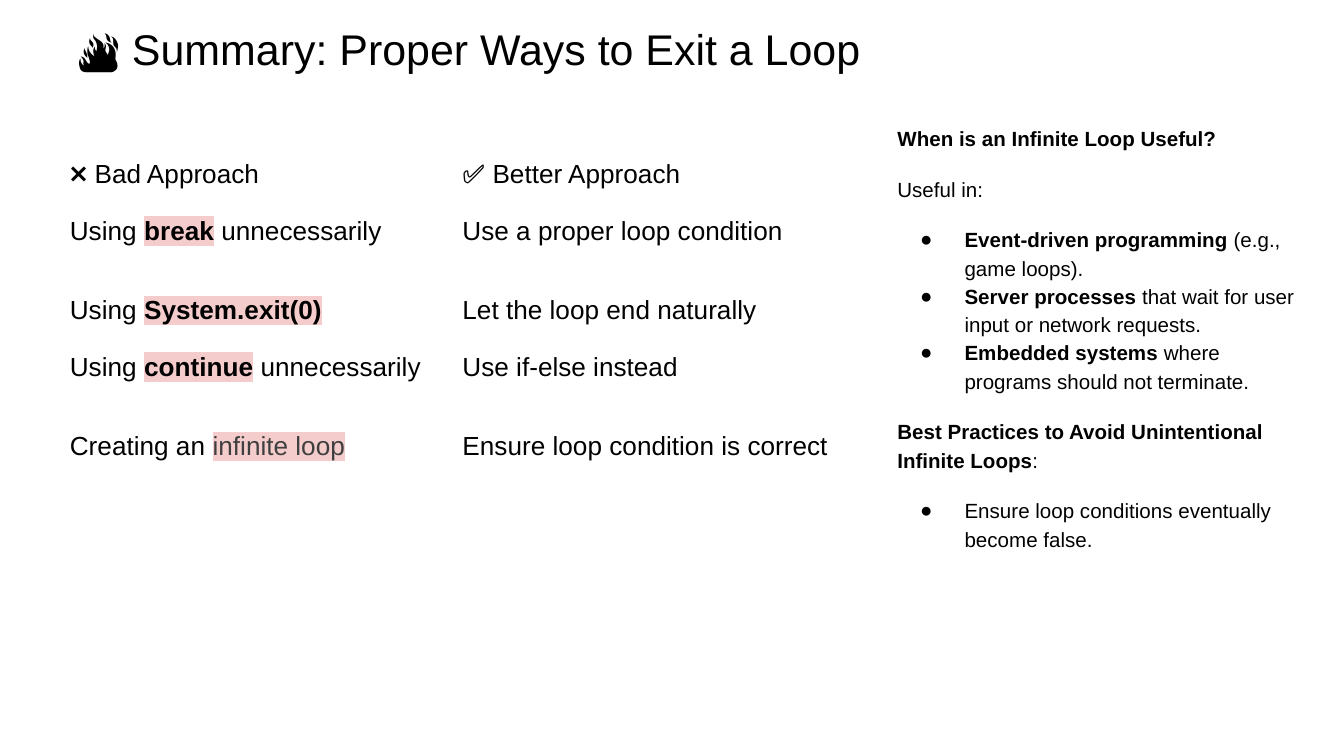
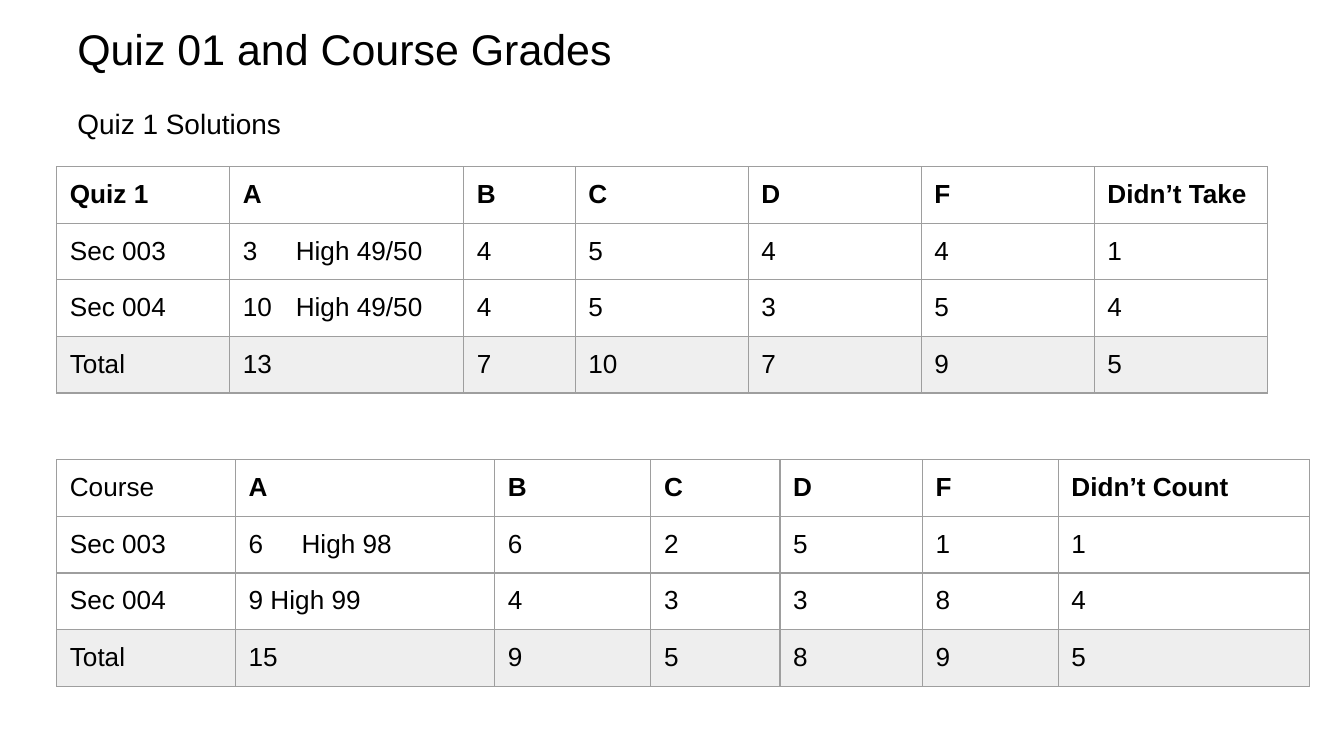
"""Build two class slides: ways to exit a loop, and quiz and course grades."""
from typing import NamedTuple, Optional

from lxml.etree import SubElement
from pptx import Presentation
from pptx.dml.color import RGBColor
from pptx.enum.text import MSO_ANCHOR, MSO_AUTO_SIZE, PP_ALIGN
from pptx.oxml.ns import qn
from pptx.util import Cm, Pt

BLACK = RGBColor(0x00, 0x00, 0x00)
DARK_GRAY = RGBColor(0x3F, 0x3F, 0x3F)
BORDER_GRAY = RGBColor(0x9E, 0x9E, 0x9E)
QUIZ_TOTAL_GRAY = RGBColor(0xEF, 0xEF, 0xEF)
COURSE_TOTAL_GRAY = RGBColor(0xEE, 0xEE, 0xEE)
PINK = RGBColor(0xF4, 0xCC, 0xCC)

FONT = "Arial"
TITLE_SIZE, SUBTITLE_SIZE, TABLE_SIZE, NOTES_SIZE = 23, 15, 14, 11
TITLE_ONLY, TITLE_AND_BODY = 5, 1
PLAIN_TABLE_STYLE = "{2D5ABB26-0587-4C30-8999-92F81FD0307C}"
TABLE_LEFT = 1.07
ROW_HEIGHT, TALL_ROW_HEIGHT = 1.07, 1.5


class Piece(NamedTuple):
    text: str
    bold: bool = False
    color: RGBColor = BLACK
    highlight: Optional[RGBColor] = None


def bold(text):
    return Piece(text, bold=True)


def keyword(text):
    return Piece(text, bold=True, highlight=PINK)


APPROACHES = [
    (["❌ Bad Approach"], ["✅ Better Approach"]),
    (["Using ", keyword("break"), " unnecessarily"], ["Use a proper loop condition"]),
    (["Using ", keyword("System.exit(0)")], ["Let the loop end naturally"]),
    (["Using ", keyword("continue"), " unnecessarily"], ["Use if-else instead"]),
    (["Creating an ", Piece("infinite loop", color=DARK_GRAY, highlight=PINK)],
     ["Ensure loop condition is correct"]),
]
APPROACH_HEIGHTS = [ROW_HEIGHT, TALL_ROW_HEIGHT, ROW_HEIGHT, TALL_ROW_HEIGHT, TALL_ROW_HEIGHT]

NOTES = [
    (False, 12, [bold("When is an Infinite Loop Useful?")]),
    (False, 12, ["Useful in:"]),
    (True, 12, [bold("Event-driven programming"), " (e.g., game loops)."]),
    (True, 0, [bold("Server processes"), " that wait for user input or network requests."]),
    (True, 0, [bold("Embedded systems"), " where programs should not terminate."]),
    (False, 12, [bold("Best Practices to Avoid Unintentional Infinite Loops"), ":"]),
    (True, 12, ["Ensure loop conditions eventually become false."]),
]

QUIZ_GRADES = [
    [bold(name) for name in ("Quiz 1", "A", "B", "C", "D", "F", "Didn’t Take")],
    ["Sec 003", "3\tHigh 49/50", "4", "5", "4", "4", "1"],
    ["Sec 004", "10\tHigh 49/50", "4", "5", "3", "5", "4"],
    ["Total", "13", "7", "10", "7", "9", "5"],
]
QUIZ_WIDTHS = [3.27, 4.42, 2.11] + [3.27] * 4

COURSE_GRADES = [
    ["Course"] + [bold(name) for name in ("A", "B", "C", "D", "F", "Didn’t Count")],
    ["Sec 003", "6\tHigh 98", "6", "2", "5", "1", "1"],
    ["Sec 004", "9 High 99", "4", "3", "3", "8", "4"],
    ["Total", "15", "9", "5", "8", "9", "5"],
]
COURSE_WIDTHS = [3.38, 4.9, 2.95, 2.44, 2.69, 2.57, 4.75]


def add_pieces(paragraph, pieces, size):
    """Add each piece as a run; plain strings take the default style."""
    for piece in pieces:
        if isinstance(piece, str):
            piece = Piece(piece)
        run = paragraph.add_run()
        run.text = piece.text
        font = run.font
        font.name, font.size, font.bold = FONT, Pt(size), piece.bold
        font.color.rgb = piece.color
        if piece.highlight is not None:
            properties = run._r.get_or_add_rPr()
            highlight = SubElement(properties, qn("a:highlight"))
            SubElement(highlight, qn("a:srgbClr"), val=str(piece.highlight))
            properties.find(qn("a:solidFill")).addnext(highlight)


def set_insets(text_frame, horizontal, vertical):
    text_frame.margin_left = text_frame.margin_right = Cm(horizontal)
    text_frame.margin_top = text_frame.margin_bottom = Cm(vertical)


def fill_placeholder(shape, box, text, size, anchor, space_before=0):
    """Move a placeholder and give it one left-aligned line without a bullet."""
    shape.left, shape.top, shape.width, shape.height = (Cm(length) for length in box)
    text_frame = shape.text_frame
    text_frame.word_wrap = True
    text_frame.auto_size = MSO_AUTO_SIZE.NONE
    text_frame.vertical_anchor = anchor
    set_insets(text_frame, 0.19, 0.1)
    paragraph = text_frame.paragraphs[0]
    paragraph.alignment = PP_ALIGN.LEFT
    paragraph.line_spacing = 0.9
    paragraph.space_before = Pt(space_before)
    properties = paragraph._p.get_or_add_pPr()
    properties.set("marL", "0")
    properties.set("indent", "0")
    SubElement(properties, qn("a:buNone"))
    add_pieces(paragraph, [text], size)


def add_titled_slide(presentation, layout, title):
    slide = presentation.slides.add_slide(presentation.slide_layouts[layout])
    fill_placeholder(slide.shapes.title, (1.27, 0.23, 21.9, 1.5), title, TITLE_SIZE,
                     MSO_ANCHOR.MIDDLE)
    return slide


def add_bullet(paragraph):
    properties = paragraph._p.get_or_add_pPr()
    properties.set("marL", str(Cm(1.27)))
    properties.set("indent", str(Cm(-0.84)))
    color = SubElement(properties, qn("a:buClr"))
    SubElement(color, qn("a:srgbClr"), val=str(BLACK))
    SubElement(properties, qn("a:buFont"), typeface=FONT)
    SubElement(properties, qn("a:buChar"), char="●")


def add_notes(slide, box, notes):
    """Add a text box from (bulleted, space before, pieces) entries."""
    text_frame = slide.shapes.add_textbox(*(Cm(length) for length in box)).text_frame
    text_frame.word_wrap = True
    text_frame.auto_size = MSO_AUTO_SIZE.SHAPE_TO_FIT_TEXT
    set_insets(text_frame, 0.25, 0.25)
    for index, (bulleted, space_before, pieces) in enumerate(notes):
        paragraph = text_frame.add_paragraph() if index else text_frame.paragraphs[0]
        paragraph.line_spacing = 1.15
        paragraph.space_before = Pt(space_before)
        if bulleted:
            add_bullet(paragraph)
        add_pieces(paragraph, pieces, NOTES_SIZE)


def add_borders(cell):
    properties = cell._tc.get_or_add_tcPr()
    for index, side in enumerate(("lnL", "lnR", "lnT", "lnB")):
        line = SubElement(properties, qn(f"a:{side}"), w=str(Pt(0.75)))
        fill = SubElement(line, qn("a:solidFill"))
        SubElement(fill, qn("a:srgbClr"), val=str(BORDER_GRAY))
        properties.insert(index, line)


def add_tab_stop(paragraph, position):
    stops = SubElement(paragraph._p.get_or_add_pPr(), qn("a:tabLst"))
    SubElement(stops, qn("a:tab"), pos=str(Cm(position)), algn="l")


def add_plain_table(slide, top, widths, heights, rows):
    """Add an unfilled table whose cells are lists of pieces."""
    table = slide.shapes.add_table(len(rows), len(widths), Cm(TABLE_LEFT), Cm(top),
                                   Cm(sum(widths)), Cm(sum(heights))).table
    table.first_row = table.horz_banding = False
    table._tbl.tblPr.find(qn("a:tableStyleId")).text = PLAIN_TABLE_STYLE
    for column, width in zip(table.columns, widths):
        column.width = Cm(width)
    for row, height, contents in zip(table.rows, heights, rows):
        row.height = Cm(height)
        for cell, pieces in zip(row.cells, contents):
            set_insets(cell, 0.25, 0.25)
            cell.fill.background()
            add_pieces(cell.text_frame.paragraphs[0], pieces, TABLE_SIZE)
    return table


def add_grade_table(slide, top, widths, grades, total_color):
    """Add a bordered grade table with a shaded total row."""
    rows = [[[value] for value in row] for row in grades]
    table = add_plain_table(slide, top, widths, [ROW_HEIGHT] * len(rows), rows)
    for cell in table.iter_cells():
        add_borders(cell)
        if "\t" in cell.text_frame.text:
            add_tab_stop(cell.text_frame.paragraphs[0], 1)
    for cell in table.rows[len(rows) - 1].cells:
        cell.fill.solid()
        cell.fill.fore_color.rgb = total_color


def add_loop_slide(presentation):
    slide = add_titled_slide(presentation, TITLE_ONLY, "🔥 Summary: Proper Ways to Exit a Loop")
    add_plain_table(slide, 2.77, [7.42, 7.8], APPROACH_HEIGHTS, APPROACHES)
    add_notes(slide, (16.71, 2.06, 8.33, 8.64), NOTES)


def add_grades_slide(presentation):
    slide = add_titled_slide(presentation, TITLE_AND_BODY, "Quiz 01 and Course Grades")
    fill_placeholder(slide.placeholders[1], (1.27, 1.98, 23.29, 0.97), "Quiz 1 Solutions",
                     SUBTITLE_SIZE, MSO_ANCHOR.TOP, space_before=6)
    add_grade_table(slide, 3.15, QUIZ_WIDTHS, QUIZ_GRADES, QUIZ_TOTAL_GRAY)
    add_grade_table(slide, 8.69, COURSE_WIDTHS, COURSE_GRADES, COURSE_TOTAL_GRAY)


def main():
    presentation = Presentation()
    presentation.slide_width, presentation.slide_height = Cm(25.4), Cm(14.29)
    add_loop_slide(presentation)
    add_grades_slide(presentation)
    presentation.save("out.pptx")


if __name__ == "__main__":
    main()
